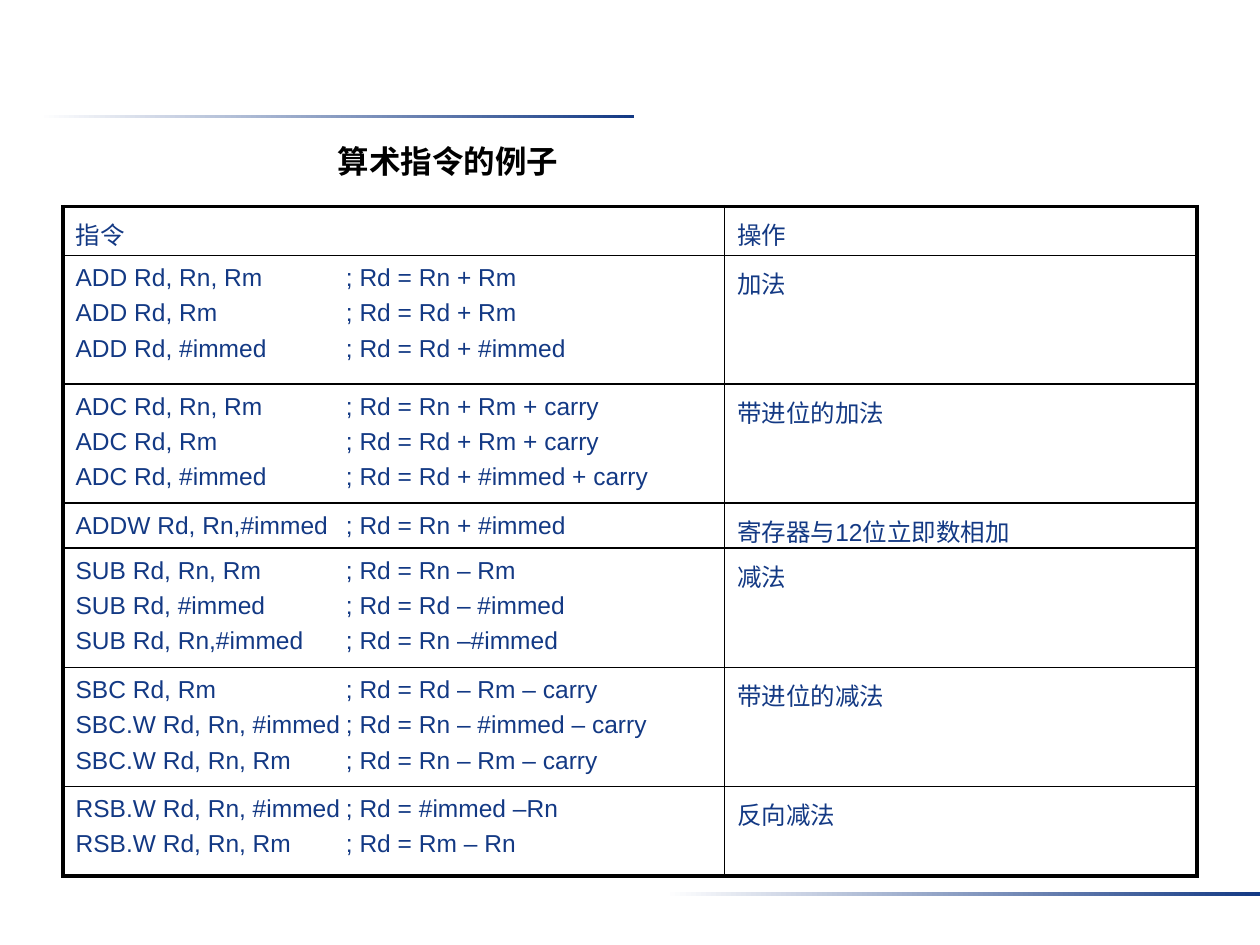
from pptx import Presentation
from pptx.dml.color import RGBColor
from pptx.enum.shapes import MSO_SHAPE
from pptx.oxml import parse_xml
from pptx.oxml.ns import nsdecls
from pptx.util import Pt

# Content: instruction lines as (code, comment), then the operation
TITLE = "算术指令的例子"
HEADER = ("指令", "操作")
INSTRUCTIONS = [
    ([("ADD Rd, Rn, Rm", "; Rd = Rn + Rm"),
      ("ADD Rd, Rm", "; Rd = Rd + Rm"),
      ("ADD Rd, #immed", "; Rd = Rd + #immed")], "加法"),
    ([("ADC Rd, Rn, Rm", "; Rd = Rn + Rm + carry"),
      ("ADC Rd, Rm", "; Rd = Rd + Rm + carry"),
      ("ADC Rd, #immed", "; Rd = Rd + #immed + carry")], "带进位的加法"),
    ([("ADDW Rd, Rn,#immed", "; Rd = Rn + #immed")], "寄存器与12位立即数相加"),
    ([("SUB Rd, Rn, Rm", "; Rd = Rn – Rm"),
      ("SUB Rd, #immed", "; Rd = Rd – #immed"),
      ("SUB Rd, Rn,#immed", "; Rd = Rn –#immed")], "减法"),
    ([("SBC Rd, Rm", "; Rd = Rd – Rm – carry"),
      ("SBC.W Rd, Rn, #immed", "; Rd = Rn – #immed – carry"),
      ("SBC.W Rd, Rn, Rm", "; Rd = Rn – Rm – carry")], "带进位的减法"),
    ([("RSB.W Rd, Rn, #immed", "; Rd = #immed –Rn"),
      ("RSB.W Rd, Rn, Rm", "; Rd = Rm – Rn")], "反向减法"),
]
COLUMN_WIDTHS = (378, 270)
ROW_HEIGHTS = (28, 73.5, 68, 25.7, 68.3, 68, 51.3)
RULES = [(22.3, 65.5), (380.2, 509.8)]  # left, top
BLUE, BLACK, WHITE = "133984", "000000", "FFFFFF"
FONT = "Arial"
COMMENT_TAB = 154.5
OUTER, INNER = 2.25, 1


def color(value):
    return RGBColor.from_string(value)


def style_font(font, size, value, bold=False):
    font.name, font.size, font.bold = FONT, Pt(size), bold
    font.color.rgb = color(value)


def add_tab_stop(paragraph):
    paragraph._p.get_or_add_pPr().append(parse_xml(
        f'<a:tabLst {nsdecls("a")}><a:tab pos="{Pt(COMMENT_TAB)}" algn="l"/></a:tabLst>'))


def set_borders(cell, widths):
    properties = cell._tc.get_or_add_tcPr()
    for index, (side, width) in enumerate(widths.items()):
        properties.insert(index, parse_xml(
            f'<a:{side} {nsdecls("a")} w="{Pt(width)}"><a:solidFill>'
            f'<a:srgbClr val="{BLACK}"/></a:solidFill></a:{side}>'))


def fill_cell(cell, lines):
    cell.fill.background()
    cell.margin_bottom = Pt(0)
    cell.text_frame.text = "\n".join(lines)
    for index, paragraph in enumerate(cell.text_frame.paragraphs):
        paragraph.line_spacing = 1.1
        if index:
            paragraph.space_before = Pt(2.8)
        if "\t" in lines[index]:
            add_tab_stop(paragraph)
        for run in paragraph.runs:
            style_font(run.font, 14, BLUE)


presentation = Presentation()
presentation.slide_width, presentation.slide_height = Pt(720), Pt(540)
slide = presentation.slides.add_slide(presentation.slide_layouts[6])

# Fading rules
for left, top in RULES:
    shape = slide.shapes.add_shape(MSO_SHAPE.RECTANGLE, Pt(left), Pt(top), Pt(339.8), Pt(2.2))
    shape.shadow.inherit = False
    shape.line.fill.background()
    shape.fill.gradient()
    shape.fill.gradient_angle = 0
    for stop, value in zip(shape.fill.gradient_stops, (WHITE, BLUE)):
        stop.color.rgb = color(value)

# Title
title = slide.shapes.add_textbox(Pt(185.8), Pt(77.8), Pt(142.6), Pt(28.8))
title.text_frame.word_wrap = False
title.text_frame.text = TITLE
style_font(title.text_frame.paragraphs[0].runs[0].font, 18, BLACK, True)

# Instruction table
rows = [([HEADER[0]], [HEADER[1]])]
rows += [(["\t".join(line) for line in lines], [operation])
         for lines, operation in INSTRUCTIONS]
table = slide.shapes.add_table(
    len(rows), len(COLUMN_WIDTHS), Pt(36), Pt(118),
    Pt(sum(COLUMN_WIDTHS)), Pt(sum(ROW_HEIGHTS))).table
table.first_row = table.horz_banding = False
for column, width in zip(table.columns, COLUMN_WIDTHS):
    column.width = Pt(width)
for row_index, (contents, height) in enumerate(zip(rows, ROW_HEIGHTS)):
    table.rows[row_index].height = Pt(height)
    for column_index, lines in enumerate(contents):
        cell = table.cell(row_index, column_index)
        fill_cell(cell, lines)
        set_borders(cell, {
            "lnL": OUTER if column_index == 0 else INNER,
            "lnR": OUTER if column_index == len(contents) - 1 else INNER,
            "lnT": OUTER if row_index == 0 else INNER,
            "lnB": OUTER if row_index == len(rows) - 1 else INNER,
        })

presentation.save("out.pptx")
